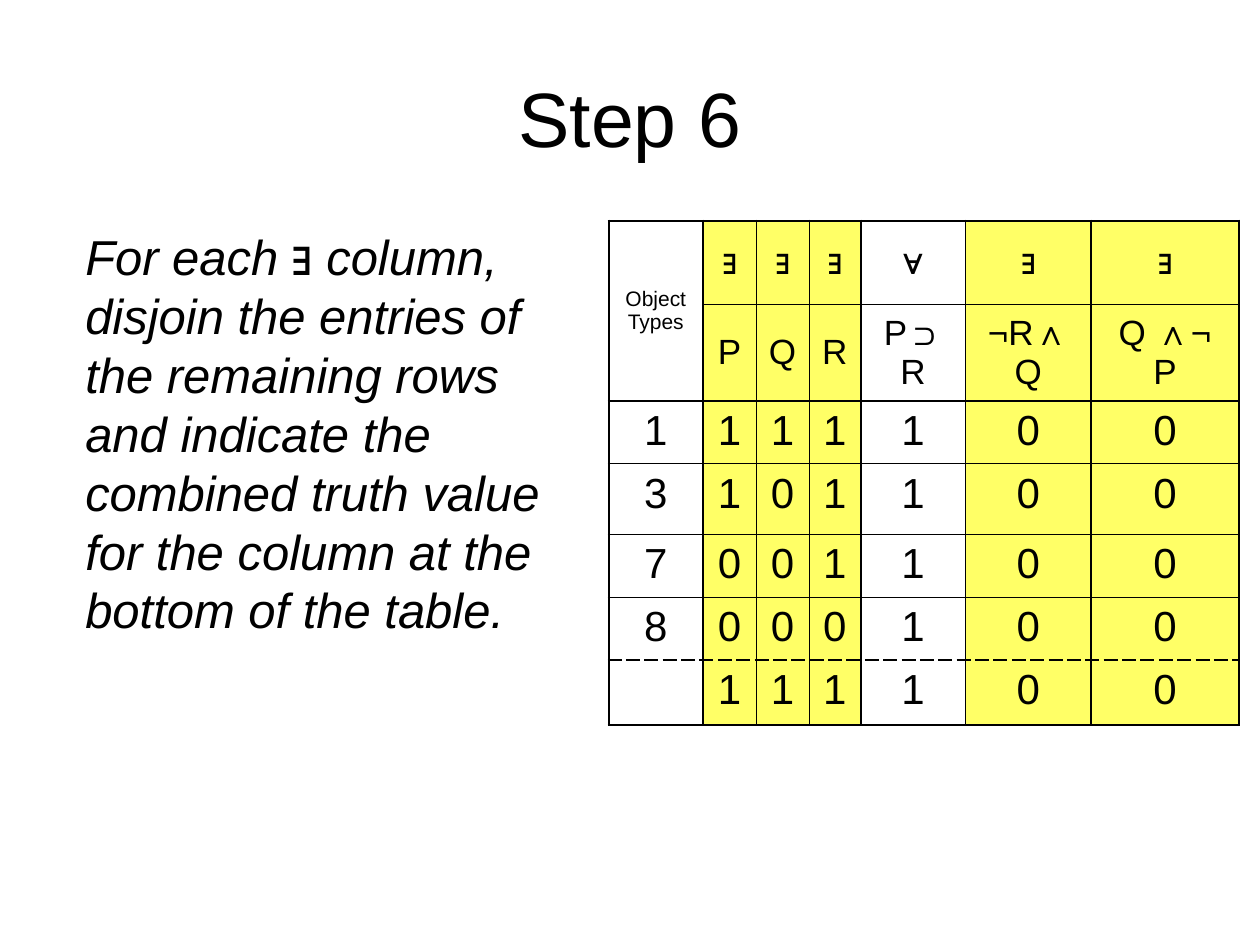
from dataclasses import dataclass
from typing import NamedTuple

from lxml.etree import SubElement
from pptx import Presentation
from pptx.dml.color import RGBColor as RGB
from pptx.enum.text import MSO_ANCHOR as Anchor, PP_ALIGN as Align
from pptx.oxml.ns import qn
from pptx.util import Cm, Pt


@dataclass(frozen=True)
class Theme:
    font: str = "Arial"
    ink: str = "000000"
    mark: str = "FFFF66"
    title: int = 44
    body: int = 28
    value: int = 24
    head: int = 20
    label: int = 12


class Run(NamedTuple):
    text: str
    size: int
    italic: bool = False


class Box(NamedTuple):
    left: float
    top: float
    width: float
    height: float


class Rule(NamedTuple):
    width: float
    dash: str = "solid"


THEME = Theme()
THICK, THIN, DASHED = Rule(1.47), Rule(0.45), Rule(1.47, "dash")

TITLE = Box(1.27, 0.76, 22.86, 3.18)
BODY = Box(0, 4.45, 11.23, 12.57)
TABLE = Box(12.27, 4.45, 12.7, 9.48)
COLS = (1.9, 1.07, 1.07, 1.04, 2.11, 2.54, 2.97)
ROWS = (1.68, 1.27, 1.27, 1.42, 1.27, 1.27, 1.3)

# Grid rules, from the first edge to the last
DOWN = (THICK, THICK, THIN, THIN, THICK, THIN, THICK, THICK)
ACROSS = (THICK, THIN, THICK, THIN, THIN, THIN, DASHED, THICK)

GRID = (
    ("Object Types", "∃", "∃", "∃", "∀", "∃", "∃"),
    ("", "P", "Q", "R", "P⊃R", "¬R∧Q", "Q ∧¬ P"),
    tuple("1111100"),
    tuple("3101100"),
    tuple("7001100"),
    tuple("8000100"),
    ("", *"111100"),
)

ADVICE = (
    Run("For each ", THEME.body, True),
    Run("∃", THEME.body),
    Run(" column, disjoin the entries of the remaining rows and indicate "
        "the combined truth value for the column at the bottom of the table.",
        THEME.body, True),
)


def write(para, *runs: Run) -> None:
    for item in runs:
        run = para.add_run()
        run.text = item.text
        run.font.name = THEME.font
        run.font.size = Pt(item.size)
        run.font.italic = item.italic
        run.font.color.rgb = RGB.from_string(THEME.ink)


def add_text(slide, box: Box, *runs: Run):
    """Add a wrapped text box and return its frame."""
    frame = slide.shapes.add_textbox(*map(Cm, box)).text_frame
    frame.word_wrap = True
    write(frame.paragraphs[0], *runs)
    return frame


def add_edge(cell, side: str, rule: Rule) -> None:
    line = SubElement(cell._tc.get_or_add_tcPr(), qn(f"a:ln{side}"),
                      w=str(Pt(rule.width)))
    fill = SubElement(line, qn("a:solidFill"))
    SubElement(fill, qn("a:srgbClr"), val=THEME.ink)
    SubElement(line, qn("a:prstDash"), val=rule.dash)


def style(row: int, col: int) -> tuple[int, int]:
    """Give the type size and the space before for a cell."""
    if row > 1:
        return THEME.value, 6
    return (THEME.head, 5) if col else (THEME.label, 3)


def draw_cell(cell, row: int, col: int) -> None:
    joined = col == 0 and row < 2
    top, base = (0, 2) if joined else (row, row + 1)
    edges = {"L": DOWN[col], "R": DOWN[col + 1],
             "T": ACROSS[top], "B": ACROSS[base]}
    for side, rule in edges.items():
        add_edge(cell, side, rule)

    if GRID[0][col] == "∃":
        cell.fill.solid()
        cell.fill.fore_color.rgb = RGB.from_string(THEME.mark)
    else:
        cell.fill.background()

    cell.vertical_anchor = Anchor.MIDDLE if row < 2 else Anchor.TOP
    text = GRID[row][col]
    if text:
        size, space = style(row, col)
        para = cell.text_frame.paragraphs[0]
        para.alignment = Align.CENTER
        para.space_before = Pt(space)
        write(para, Run(text, size))


def draw_table(slide) -> None:
    table = slide.shapes.add_table(len(ROWS), len(COLS),
                                   *map(Cm, TABLE)).table
    table.first_row = table.horz_banding = False
    for col, width in zip(table.columns, COLS):
        col.width = Cm(width)
    for row, height in zip(table.rows, ROWS):
        row.height = Cm(height)
    table.cell(0, 0).merge(table.cell(1, 0))
    for row in range(len(ROWS)):
        for col in range(len(COLS)):
            draw_cell(table.cell(row, col), row, col)


def main() -> None:
    deck = Presentation()
    deck.slide_width, deck.slide_height = Cm(25.4), Cm(19.05)
    slide = deck.slides.add_slide(deck.slide_layouts[6])

    title = add_text(slide, TITLE, Run("Step 6", THEME.title))
    title.vertical_anchor = Anchor.MIDDLE
    title.paragraphs[0].alignment = Align.CENTER

    para = add_text(slide, BODY, *ADVICE).paragraphs[0]
    para.space_before = Pt(7)
    para._p.get_or_add_pPr().set("marL", str(Cm(1.47)))

    draw_table(slide)
    deck.save("out.pptx")


if __name__ == "__main__":
    main()
